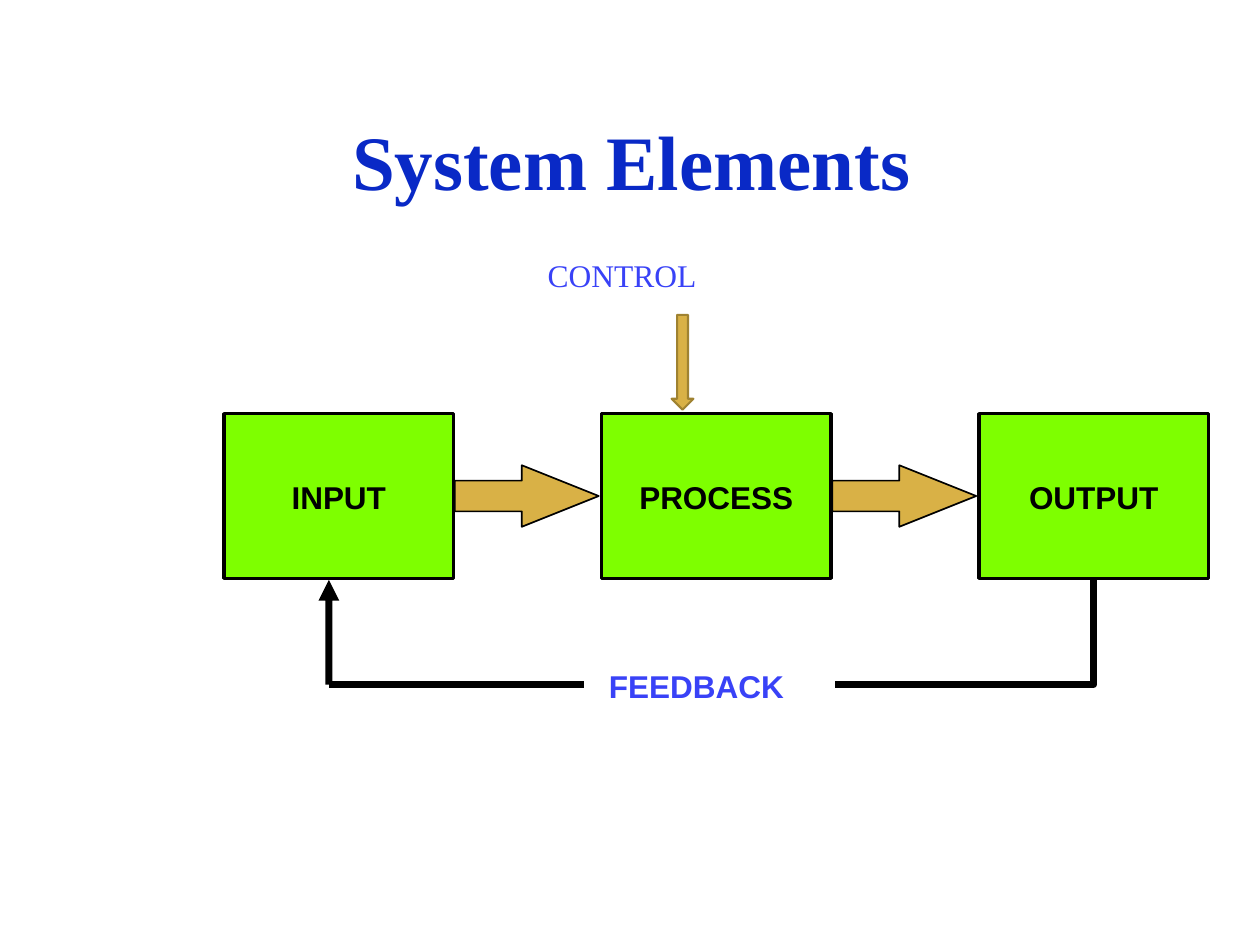
from pptx import Presentation
from lxml.etree import SubElement
from pptx.dml.color import RGBColor
from pptx.enum.shapes import MSO_CONNECTOR as Connector, MSO_SHAPE as Shape
from pptx.enum.text import MSO_ANCHOR as Anchor, PP_ALIGN as Align
from pptx.oxml.ns import qn
from pptx.util import Cm, Pt

BLACK = RGBColor(0x00, 0x00, 0x00)
GREEN = RGBColor(0x7E, 0xFF, 0x00)
GOLD = RGBColor(0xD9, 0xB1, 0x46)
DARK_GOLD = RGBColor(0x9F, 0x82, 0x31)
TITLE_BLUE = RGBColor(0x09, 0x29, 0xC6)
LABEL_BLUE = RGBColor(0x39, 0x42, 0xF7)
SERIF, SANS = "Times New Roman", "Arial"

STAGES = ["INPUT", "PROCESS", "OUTPUT"]
LABELS = [
    ("System Elements", 7.03, 2.28, 11.4, 1.93, SERIF, 44, True, TITLE_BLUE),
    ("CONTROL", 10.99, 5.17, 3.1, 0.84, SERIF, 18, False, LABEL_BLUE),
    ("FEEDBACK", 12.25, 13.45, 3.58, 0.84, SANS, 18, True, LABEL_BLUE),
]

BOX_LEFT, BOX_TOP, BOX_WIDTH, BOX_HEIGHT, BOX_STEP = 4.52, 8.34, 4.62, 3.32, 7.61
BOX_BOTTOM = BOX_TOP + BOX_HEIGHT
ARROW_WIDTH, ARROW_HEIGHT, ARROW_GAP = 2.9, 1.24, 0.03
FEEDBACK_Y, FEEDBACK_WIDTH = 13.8, 3.96
RETURN_X, RETURN_WIDTH, RETURN_TOP = 6.63, 0.42, 11.69
OUTPUT_X = BOX_LEFT + 2 * BOX_STEP + BOX_WIDTH / 2
GAP_LEFT, GAP_RIGHT = 11.77, 16.84


def add_run(frame, text, font, size, bold, color):
    frame.margin_left = frame.margin_right = frame.margin_top = frame.margin_bottom = 0
    paragraph = frame.paragraphs[0]
    paragraph.alignment = Align.CENTER
    run = paragraph.add_run()
    run.text = text
    run.font.name = font
    run.font.size = Pt(size)
    run.font.bold = bold
    run.font.color.rgb = color


def add_filled(slide, kind, left, top, width, height, fill, line=None, line_width=0):
    shape = slide.shapes.add_shape(kind, Cm(left), Cm(top), Cm(width), Cm(height))
    shape.shadow.inherit = False
    shape.fill.solid()
    shape.fill.fore_color.rgb = fill
    if line is None:
        shape.line.fill.background()
    else:
        shape.line.color.rgb = line
        shape.line.width = Pt(line_width)
    return shape


def style_feedback(shape):
    shape.line.color.rgb = BLACK
    shape.line.width = Pt(FEEDBACK_WIDTH)


def main():
    presentation = Presentation()
    presentation.slide_width, presentation.slide_height = Cm(25.4), Cm(19.05)
    slide = presentation.slides.add_slide(presentation.slide_layouts[6])

    for text, left, top, width, height, font, size, bold, color in LABELS:
        label = slide.shapes.add_textbox(Cm(left), Cm(top), Cm(width), Cm(height))
        label.text_frame.word_wrap = True
        add_run(label.text_frame, text, font, size, bold, color)

    for index, stage in enumerate(STAGES):
        left = BOX_LEFT + index * BOX_STEP
        box = add_filled(slide, Shape.RECTANGLE, left, BOX_TOP, BOX_WIDTH, BOX_HEIGHT,
                         GREEN, BLACK, 2.04)
        box.text_frame.vertical_anchor = Anchor.MIDDLE
        add_run(box.text_frame, stage, SANS, 18, True, BLACK)
        box.text_frame.margin_top = Cm(0.04)
        if index < len(STAGES) - 1:
            arrow = add_filled(slide, Shape.RIGHT_ARROW, left + BOX_WIDTH + ARROW_GAP,
                               BOX_TOP + (BOX_HEIGHT - ARROW_HEIGHT) / 2,
                               ARROW_WIDTH, ARROW_HEIGHT, GOLD, BLACK, 0.96)
            arrow.adjustments[1] = 1.25

    add_filled(slide, Shape.DOWN_ARROW, 13.54, 6.35, 0.44, 1.91, GOLD, DARK_GOLD, 1.2)

    builder = slide.shapes.build_freeform(Cm(GAP_RIGHT), Cm(FEEDBACK_Y))
    builder.add_line_segments(
        [(Cm(OUTPUT_X), Cm(FEEDBACK_Y)), (Cm(OUTPUT_X), Cm(BOX_BOTTOM))], close=False)
    output_line = builder.convert_to_shape()
    output_line.shadow.inherit = False
    output_line.fill.background()
    style_feedback(output_line)

    return_line = slide.shapes.add_connector(
        Connector.STRAIGHT, Cm(RETURN_X), Cm(FEEDBACK_Y), Cm(GAP_LEFT), Cm(FEEDBACK_Y))
    SubElement(return_line._element.spPr, qn("a:effectLst"))
    style_feedback(return_line)

    return_arrow = add_filled(slide, Shape.UP_ARROW, RETURN_X - RETURN_WIDTH / 2, RETURN_TOP,
                              RETURN_WIDTH, FEEDBACK_Y - RETURN_TOP, BLACK)
    return_arrow.adjustments[0] = 0.33
    return_arrow.adjustments[1] = 1

    presentation.save("out.pptx")


if __name__ == "__main__":
    main()
